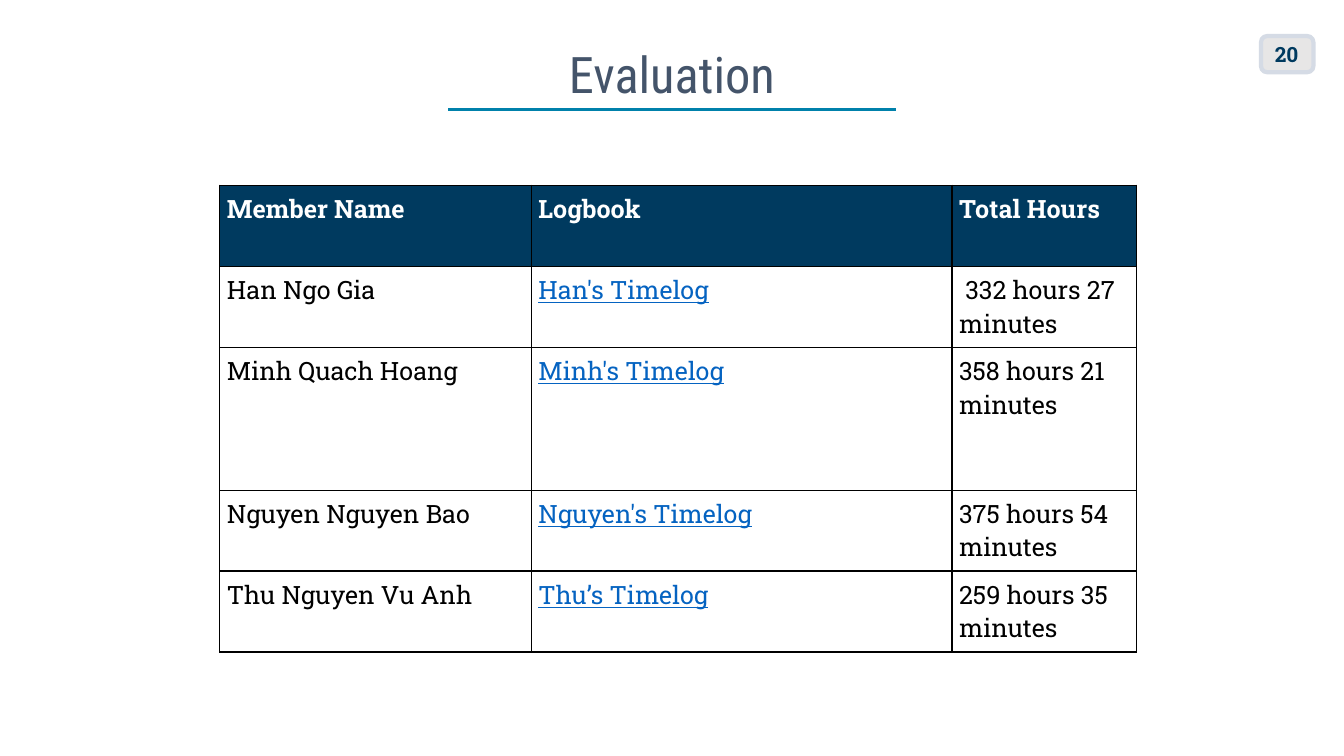
from lxml import etree
from pptx import Presentation
from pptx.dml.color import RGBColor
from pptx.enum.shapes import MSO_CONNECTOR, MSO_SHAPE
from pptx.enum.text import MSO_ANCHOR, PP_ALIGN
from pptx.oxml.ns import qn
from pptx.util import Cm, Pt

STRAIGHT = MSO_CONNECTOR.STRAIGHT
ROUNDED = MSO_SHAPE.ROUNDED_RECTANGLE
BOTTOM, MIDDLE = MSO_ANCHOR.BOTTOM, MSO_ANCHOR.MIDDLE
LEFT, CENTER, RIGHT = PP_ALIGN.LEFT, PP_ALIGN.CENTER, PP_ALIGN.RIGHT

NAVY = RGBColor(0x00, 0x3A, 0x5F)
TEAL = RGBColor(0x00, 0x81, 0xAB)
SLATE = RGBColor(0x44, 0x54, 0x6A)
BADGE_GRAY = RGBColor(0xE7, 0xE6, 0xE6)
BADGE_EDGE = RGBColor(0xD5, 0xDB, 0xE5)
LINK_BLUE = RGBColor(0x05, 0x63, 0xC1)
WHITE = RGBColor(0xFF, 0xFF, 0xFF)
BLACK = RGBColor(0x00, 0x00, 0x00)

TITLE_FONT = {"name": "Roboto Condensed", "size": Pt(36), "bold": False}
NUMBER_FONT = {"name": "Roboto Slab", "size": Pt(15), "bold": True}
BODY_FONT = {"name": "Roboto Slab", "size": Pt(18), "bold": False}
HEADER_FONT = BODY_FONT | {"bold": True}
LINK_FONT = BODY_FONT | {"underline": True}

HEADERS = ("Member Name", "Logbook", "Total Hours")
MEMBERS = (
    ("Han Ngo Gia", "Han's Timelog", " 332 hours 27 minutes"),
    ("Minh Quach Hoang", "Minh's Timelog", "358 hours 21 minutes"),
    ("Nguyen Nguyen Bao", "Nguyen's Timelog", "375 hours 54 minutes"),
    ("Thu Nguyen Vu Anh", "Thu’s Timelog", "259 hours 35 minutes"),
)
COLUMN_WIDTHS = (Cm(7.85), Cm(10.6), Cm(4.65))
ROW_HEIGHTS = (Cm(2.04), Cm(2.04), Cm(3.6), Cm(2.04), Cm(2.04))
LINK_COLUMN = HEADERS.index("Logbook")


def set_attributes(target, values):
    """Set every named value on the target."""
    for name, value in values.items():
        setattr(target, name, value)


def write_text(frame, text, font, color, alignment=LEFT):
    """Write one formatted paragraph and return it."""
    para = frame.paragraphs[0]
    para.alignment = alignment
    span = para.add_run()
    span.text = text
    set_attributes(span.font, font)
    span.font.color.rgb = color
    return para


def add_title(page, text):
    """Place the title and the rule under it."""
    title = page.shapes.title
    set_attributes(title, {"left": Cm(2.33), "top": Cm(0.84),
                           "width": Cm(29.21), "height": Cm(1.93)})
    title.text_frame.vertical_anchor = BOTTOM
    para = write_text(title.text_frame, text, TITLE_FONT, SLATE, CENTER)
    para.line_spacing = 0.9
    rule = page.shapes.add_connector(STRAIGHT, Cm(11.3), Cm(2.77), Cm(22.58), Cm(2.77))
    rule.line.color.rgb = TEAL
    rule.line.width = Pt(2.25)
    etree.SubElement(rule.element.spPr, qn("a:effectLst"))


def add_page_number(page, number):
    """Draw the badge and the page number over it."""
    badge = page.shapes.add_shape(ROUNDED, Cm(31.78), Cm(0.91), Cm(1.32), Cm(0.91))
    badge.shadow.inherit = False
    badge.fill.solid()
    badge.fill.fore_color.rgb = BADGE_GRAY
    badge.line.color.rgb = BADGE_EDGE
    badge.line.width = Pt(3)
    box = page.shapes.add_textbox(Cm(31.47), Cm(0.86), Cm(1.5), Cm(1.02))
    set_attributes(box.text_frame, {"word_wrap": True, "vertical_anchor": MIDDLE})
    write_text(box.text_frame, number, NUMBER_FONT, NAVY, RIGHT)


def add_borders(cell):
    """Draw a thin black line on each side of a cell."""
    properties = cell._tc.get_or_add_tcPr()
    for side in ("a:lnL", "a:lnR", "a:lnT", "a:lnB"):
        line = etree.SubElement(properties, qn(side), w=str(Pt(1)))
        fill = etree.SubElement(line, qn("a:solidFill"))
        etree.SubElement(fill, qn("a:srgbClr"), val=str(BLACK))


def fill_cell(cell, text, font, color, background=None):
    """Write and format one table cell."""
    sides = ("margin_left", "margin_right", "margin_top", "margin_bottom")
    set_attributes(cell, dict.fromkeys(sides, Cm(0.18)))
    add_borders(cell)
    if background is None:
        cell.fill.background()
    else:
        cell.fill.solid()
        cell.fill.fore_color.rgb = background
    write_text(cell.text_frame, text, font, color)


def add_hours_table(page):
    """Build the table of members, logbooks and hours."""
    table = page.shapes.add_table(
        len(ROW_HEIGHTS), len(COLUMN_WIDTHS), Cm(5.54), Cm(4.67),
        sum(COLUMN_WIDTHS), sum(ROW_HEIGHTS)).table
    table.horz_banding = False
    for column, width in zip(table.columns, COLUMN_WIDTHS):
        column.width = width
    for row, height in zip(table.rows, ROW_HEIGHTS):
        row.height = height
    for column, header in enumerate(HEADERS):
        fill_cell(table.cell(0, column), header, HEADER_FONT, WHITE, NAVY)
    for row, member in enumerate(MEMBERS, start=1):
        for column, text in enumerate(member):
            is_link = column == LINK_COLUMN
            font, color = (LINK_FONT, LINK_BLUE) if is_link else (BODY_FONT, BLACK)
            fill_cell(table.cell(row, column), text, font, color)


def main():
    """Build the evaluation slide and save the deck."""
    deck = Presentation()
    set_attributes(deck, {"slide_width": Cm(33.87), "slide_height": Cm(19.05)})
    page = deck.slides.add_slide(deck.slide_layouts.get_by_name("Title Only"))
    add_title(page, "Evaluation")
    add_page_number(page, "20")
    add_hours_table(page)
    deck.save("out.pptx")


if __name__ == "__main__":
    main()
